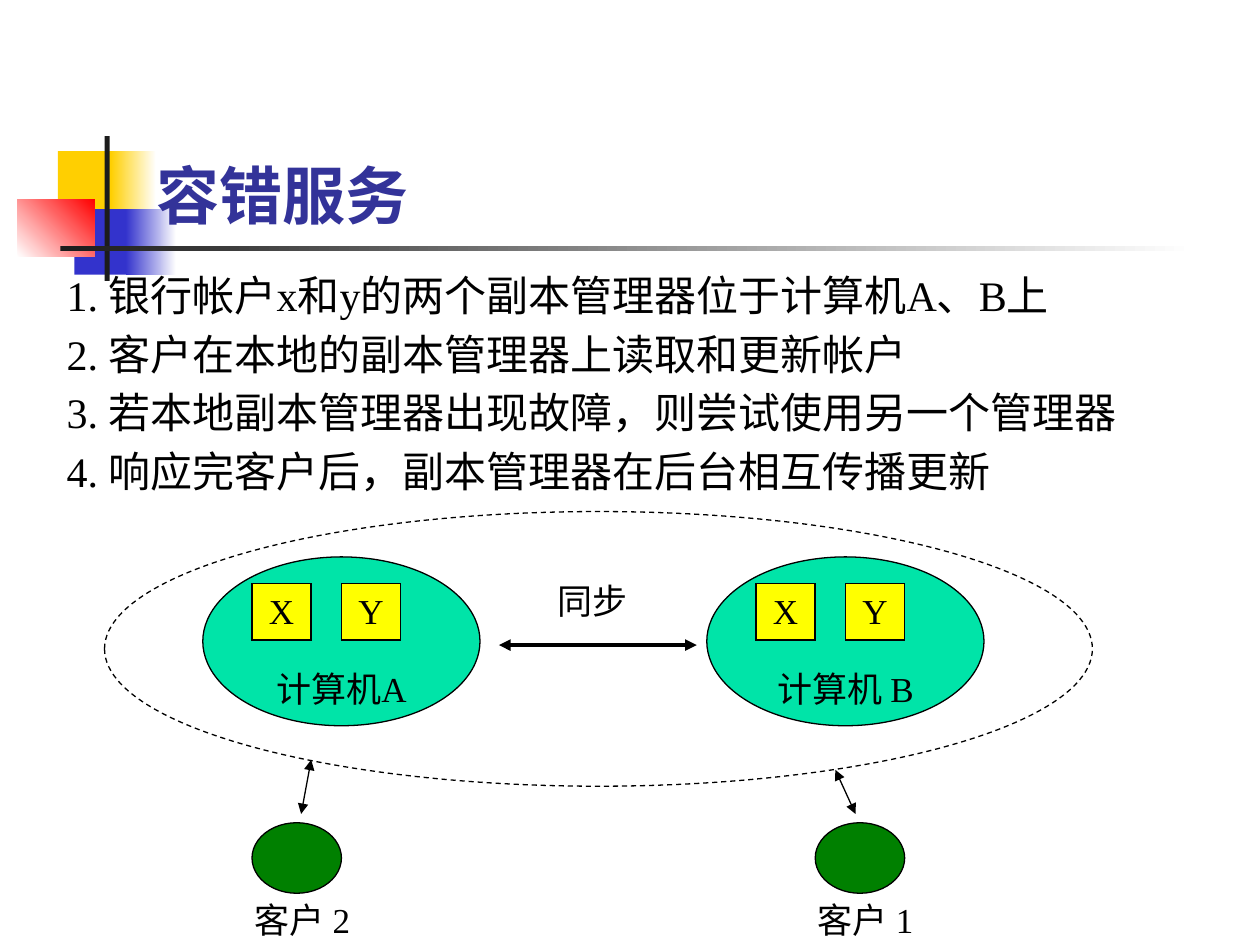
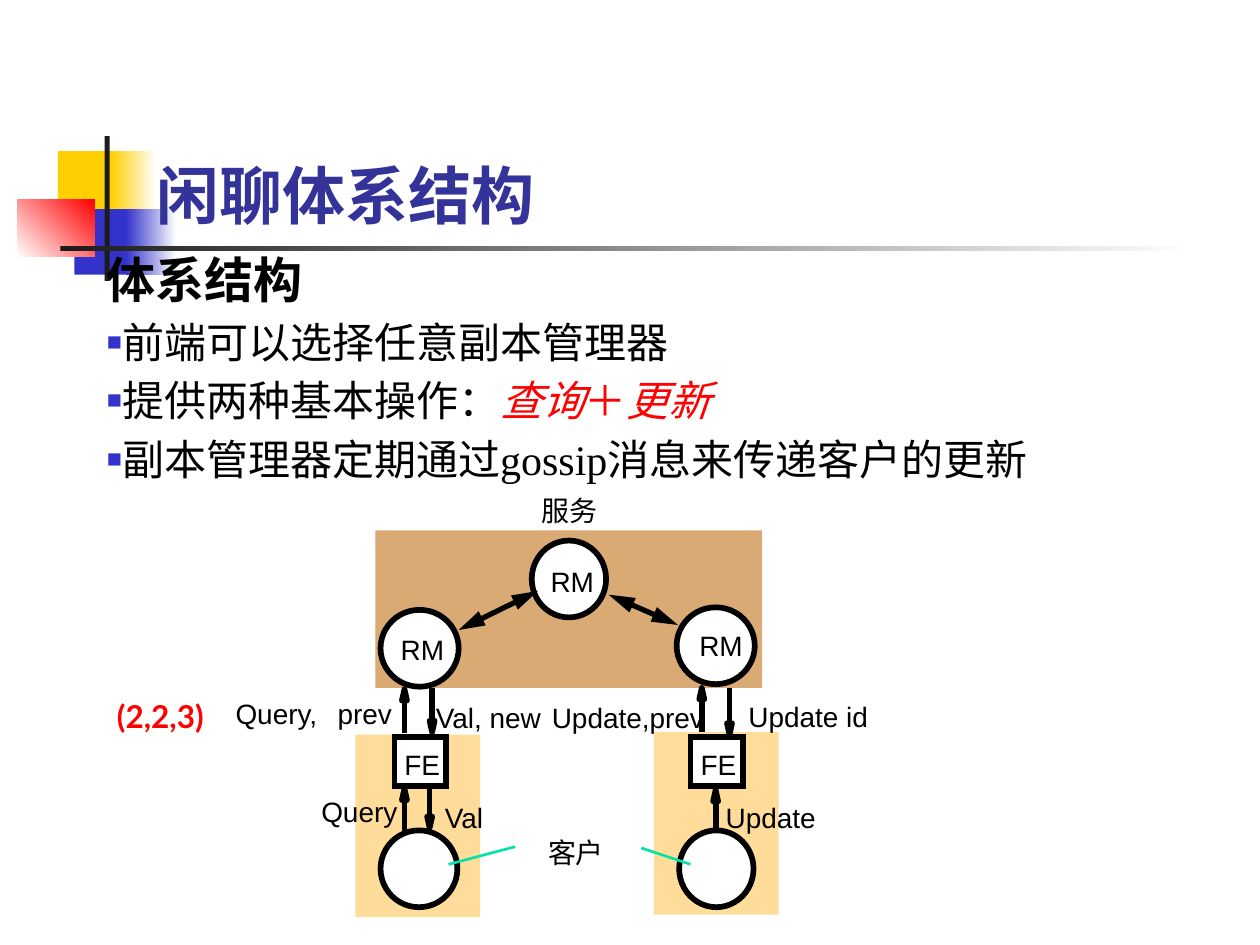
"""Build two slides on fault-tolerant services and the gossip architecture."""
from lxml import etree
from pptx import Presentation
from pptx.dml.color import RGBColor
from pptx.enum.dml import MSO_LINE
from pptx.enum.shapes import MSO_CONNECTOR, MSO_SHAPE
from pptx.enum.text import MSO_ANCHOR, PP_ALIGN
from pptx.oxml.ns import qn
from pptx.util import Inches, Pt

RECT, OVAL = MSO_SHAPE.RECTANGLE, MSO_SHAPE.OVAL
STRAIGHT = MSO_CONNECTOR.STRAIGHT
TOP, BOTTOM = MSO_ANCHOR.TOP, MSO_ANCHOR.BOTTOM
LEFT, CENTER = PP_ALIGN.LEFT, PP_ALIGN.CENTER
DASH = MSO_LINE.DASH

SERIF, SANS, CHINESE, CLOCK_FONT = "Times New Roman", "Arial", "Noto Sans CJK JP", "Lato"
BLACK, WHITE, RED, INK = "000000", "FFFFFF", "FF0000", "1C1C1C"
YELLOW, BLUE, TITLE_BLUE = "FFCF01", "3333CC", "333399"
MINT, SQUARE_YELLOW, GREEN = "00E4A8", "FFFF00", "008000"
SERVICE_TAN, CLIENT_TAN = "D9AA73", "FFDC99"
HEAVY = 3.25
LINE_HEIGHT = 1.17
ITEM_GAP = 5.4
LABEL_SLACK = 0.2

DECOR = [
    ((0.46, 1.2, 0.48, 0.52), (YELLOW,), 0),
    ((0.88, 1.2, 0.36, 0.52), (YELLOW, WHITE), 0),
    ((0.59, 1.66, 0.46, 0.52), (BLUE,), 0),
    ((1, 1.66, 0.4, 0.52), (BLUE, WHITE), 0),
    ((0.14, 1.58, 0.61, 0.46), (WHITE, RED), 45),
    ((0.83, 1.08, 0.04, 1.15), (INK,), 0),
    ((0.48, 1.95, 9, 0.04), (INK, WHITE), 0),
]

FAULT_TITLE = "容错服务"
FAULT_STEPS = [
    "1. 银行帐户x和y的两个副本管理器位于计算机A、B上",
    "2. 客户在本地的副本管理器上读取和更新帐户",
    "3. 若本地副本管理器出现故障，则尝试使用另一个管理器",
    "4. 响应完客户后，副本管理器在后台相互传播更新",
]
COMPUTERS = [("计算机A", 1.61), ("计算机 B", 5.61)]
ACCOUNTS = ["X", "Y"]
CLIENTS = [("客户 2", 2), ("客户 1", 6.47)]
CLIENT_LINKS = [((2.39, 6.46), (2.47, 6.03)), ((6.79, 6.46), (6.63, 6.11))]

GOSSIP_TITLE = "闲聊体系结构"
GOSSIP_HEADING = "体系结构"
GOSSIP_POINTS = [
    [("前端可以选择任意副本管理器", BLACK, False)],
    [("提供两种基本操作：", BLACK, False), ("查询", RED, True),
     ("＋", RED, False), ("更新", RED, True)],
    [("副本管理器定期通过gossip消息来传递客户的更新", BLACK, False)],
]
BACKDROPS = [
    ((2.82, 5.83, 0.99, 1.45), CLIENT_TAN),
    ((5.19, 5.81, 0.99, 1.45), CLIENT_TAN),
    ((2.98, 4.21, 3.07, 1.25), SERVICE_TAN),
]
MESSAGE_ARROWS = [
    (5.79, 5.46, 5.83), (3.43, 5.46, 5.81), (3.41, 6.22, 6.57),
    (5.68, 6.59, 6.27), (3.21, 6.62, 6.26),
    (3.21, 5.82, 5.47), (5.57, 5.81, 5.46),
]
NODES = [
    (RECT, 3.13, 5.85, 0.41, 0.39), (RECT, 5.48, 5.85, 0.42, 0.39),
    (OVAL, 3.02, 6.59, 0.61, 0.61), (OVAL, 5.39, 6.59, 0.59, 0.61),
    (OVAL, 3.02, 4.84, 0.62, 0.61), (OVAL, 5.37, 4.82, 0.62, 0.61),
    (OVAL, 4.22, 4.29, 0.59, 0.61),
]
NODE_LABELS = [
    ("服务", 4.3, 3.92, 0.44), ("客户", 4.35, 6.63, 0.44),
    ("RM", 4.37, 4.48, 0.35), ("RM", 3.18, 5.02, 0.35), ("RM", 5.55, 4.99, 0.35),
    ("FE", 3.21, 5.93, 0.28), ("FE", 5.56, 5.93, 0.28),
    ("Query,", 1.87, 5.53, 0.73), ("prev", 2.68, 5.53, 0.43),
    ("Val, new", 3.46, 5.56, 0.85), ("Update,prev", 4.38, 5.56, 1.21),
    ("Update id", 5.94, 5.55, 0.95), ("Query", 2.55, 6.31, 0.61),
    ("Val", 3.53, 6.35, 0.32), ("Update", 5.76, 6.35, 0.72),
]
CLIENT_POINTERS = [((3.56, 6.86), (4.09, 6.72)), ((5.48, 6.86), (5.09, 6.73))]
GOSSIP_LINKS = [((3.64, 5), (4.27, 4.69)), ((5.38, 4.96), (4.83, 4.72))]


def rgb(color):
    return RGBColor.from_string(color)


def paint(shape, fill, line, weight):
    shape.shadow.inherit = False
    if fill:
        shape.fill.solid()
        shape.fill.fore_color.rgb = rgb(fill)
    else:
        shape.fill.background()
    if line:
        shape.line.color.rgb = rgb(line)
        shape.line.width = Pt(weight)
    else:
        shape.line.fill.background()


def add_shape(page, kind, at, fill=None, line=None, weight=0.75):
    shape = page.shapes.add_shape(kind, *map(Inches, at))
    paint(shape, fill, line, weight)
    if kind == RECT and line:
        outline = shape._element.spPr.find(qn("a:ln"))
        etree.SubElement(outline, qn("a:miter"), lim="800000")
    return shape


def add_line(page, start, end, color, weight, head_length=None):
    line = page.shapes.add_connector(STRAIGHT, *map(Inches, (*start, *end)))
    line.line.color.rgb = rgb(color)
    line.line.width = Pt(weight)
    properties = line._element.spPr
    etree.SubElement(properties, qn("a:effectLst"))
    if head_length:
        for tag in ("a:headEnd", "a:tailEnd"):
            etree.SubElement(properties.find(qn("a:ln")), qn(tag),
                             type="triangle", w="med", len=head_length)


def add_run(para, text, size, font=SERIF, color=BLACK, bold=False, italic=False):
    span = para.add_run()
    span.text = text
    span.font.size = Pt(size)
    span.font.name = font
    span.font.bold = bold
    span.font.italic = italic
    span.font.color.rgb = rgb(color)
    chinese_font = CHINESE if font == SERIF else font
    latin = span._r.rPr.find(qn("a:latin"))
    latin.addnext(etree.Element(qn("a:ea"), typeface=chinese_font))
    if font == SERIF and not text.isascii():
        para.line_spacing = Pt(round(size * LINE_HEIGHT, 1))


def add_box(page, at, anchor=TOP):
    frame = page.shapes.add_textbox(*map(Inches, at)).text_frame
    frame.word_wrap = True
    frame.vertical_anchor = anchor
    return frame


def add_label(frame, text, size=20, align=CENTER, **style):
    para = frame.paragraphs[0]
    para.alignment = align
    add_run(para, text, size, **style)


def add_plain_label(page, text, left, top, width):
    frame = add_box(page, (left, top, width + LABEL_SLACK, 0.27))
    frame.margin_left = frame.margin_right = frame.margin_top = frame.margin_bottom = 0
    add_label(frame, text, 16, LEFT, font=SANS)


def add_bullet(para):
    properties = para._p.get_or_add_pPr()
    color = etree.SubElement(properties, qn("a:buClr"))
    etree.SubElement(color, qn("a:srgbClr"), val=BLUE)
    etree.SubElement(properties, qn("a:buSzPct"), val="60000")
    etree.SubElement(properties, qn("a:buFont"), typeface=SANS)
    etree.SubElement(properties, qn("a:buChar"), char="■")


def add_page(deck, title):
    page = deck.slides.add_slide(deck.slide_layouts[6])
    for at, colors, angle in DECOR:
        block = add_shape(page, RECT, at, colors[0])
        if len(colors) == 2:
            block.fill.gradient()
            block.fill.gradient_angle = angle
            for stop, color in zip(block.fill.gradient_stops, colors):
                stop.color.rgb = rgb(color)
    frame = add_box(page, (1.14, 0.91, 7.4, 0.98), BOTTOM)
    add_label(frame, title, 36, LEFT, font=CHINESE, color=TITLE_BLUE, bold=True)
    return page


def add_computer(page, name, left):
    add_shape(page, OVAL, (left, 4.42, 2.2, 1.34), MINT, BLACK)
    add_label(add_box(page, (left + 0.16, 5.26, 1.88, 0.43)), name)
    for index, account in enumerate(ACCOUNTS):
        at = (left + 0.39 + 0.71 * index, 4.63, 0.47, 0.45)
        square = add_shape(page, RECT, at, SQUARE_YELLOW, BLACK)
        square.text_frame.vertical_anchor = TOP
        add_label(square.text_frame, account)


def add_message_arrow(page, x, tail, tip):
    base = tip - 0.09 if tip > tail else tip + 0.09
    add_line(page, (x, tail), (x, base), BLACK, HEAVY)
    outline = page.shapes.build_freeform(Inches(x - 0.02), Inches(base))
    outline.add_line_segments([(Inches(x + 0.02), Inches(base)), (Inches(x), Inches(tip))])
    paint(outline.convert_to_shape(), BLACK, BLACK, HEAVY)


def build_fault_page(deck):
    page = add_page(deck, FAULT_TITLE)
    frame = add_box(page, (0.43, 2.1, 9.08, 1.62))
    for index, step in enumerate(FAULT_STEPS):
        para = frame.add_paragraph() if index else frame.paragraphs[0]
        properties = para._p.get_or_add_pPr()
        properties.set("marL", str(Inches(0.38)))
        properties.set("indent", str(Inches(-0.38)))
        if index:
            para.space_before = Pt(ITEM_GAP)
        add_run(para, step, 24)
    for name, left in COMPUTERS:
        add_computer(page, name, left)
    add_line(page, (3.96, 5.12), (5.53, 5.12), BLACK, 2.25, "med")
    add_label(add_box(page, (3.88, 4.56, 1.65, 0.43)), "同步")
    service = add_shape(page, OVAL, (0.83, 4.06, 7.84, 2.18), None, BLACK)
    service.line.dash_style = DASH
    for name, left in CLIENTS:
        add_shape(page, OVAL, (left, 6.53, 0.71, 0.56), GREEN, BLACK)
        add_label(add_box(page, (left - 0.15, 7.09, 1.1, 0.41)), name)
    for start, end in CLIENT_LINKS:
        add_line(page, start, end, BLACK, 0.75, "med")


def build_gossip_page(deck):
    page = add_page(deck, GOSSIP_TITLE)
    frame = add_box(page, (0.75, 1.94, 8.82, 5.2))
    add_label(frame, GOSSIP_HEADING, 28, LEFT, bold=True)
    for point in GOSSIP_POINTS:
        para = frame.add_paragraph()
        add_bullet(para)
        para.space_before = Pt(ITEM_GAP)
        for text, color, italic in point:
            add_run(para, text, 24, color=color, italic=italic)
    for at, color in BACKDROPS:
        add_shape(page, RECT, at, color)
    for arrow in MESSAGE_ARROWS:
        add_message_arrow(page, *arrow)
    for kind, *at in NODES:
        add_shape(page, kind, at, WHITE, BLACK, HEAVY)
    for label in NODE_LABELS:
        add_plain_label(page, *label)
    for start, end in CLIENT_POINTERS:
        add_line(page, start, end, MINT, 1.5)
    for start, end in GOSSIP_LINKS:
        add_line(page, start, end, BLACK, 3, "lg")
    clock = add_box(page, (0.83, 5.48, 1.26, 0.4))
    add_label(clock, "(2,2,3)", 18, LEFT, font=CLOCK_FONT, color=RED, bold=True)


def main():
    deck = Presentation()
    deck.slide_width, deck.slide_height = Inches(10), Inches(7.5)
    build_fault_page(deck)
    build_gossip_page(deck)
    deck.save("out.pptx")


if __name__ == "__main__":
    main()
